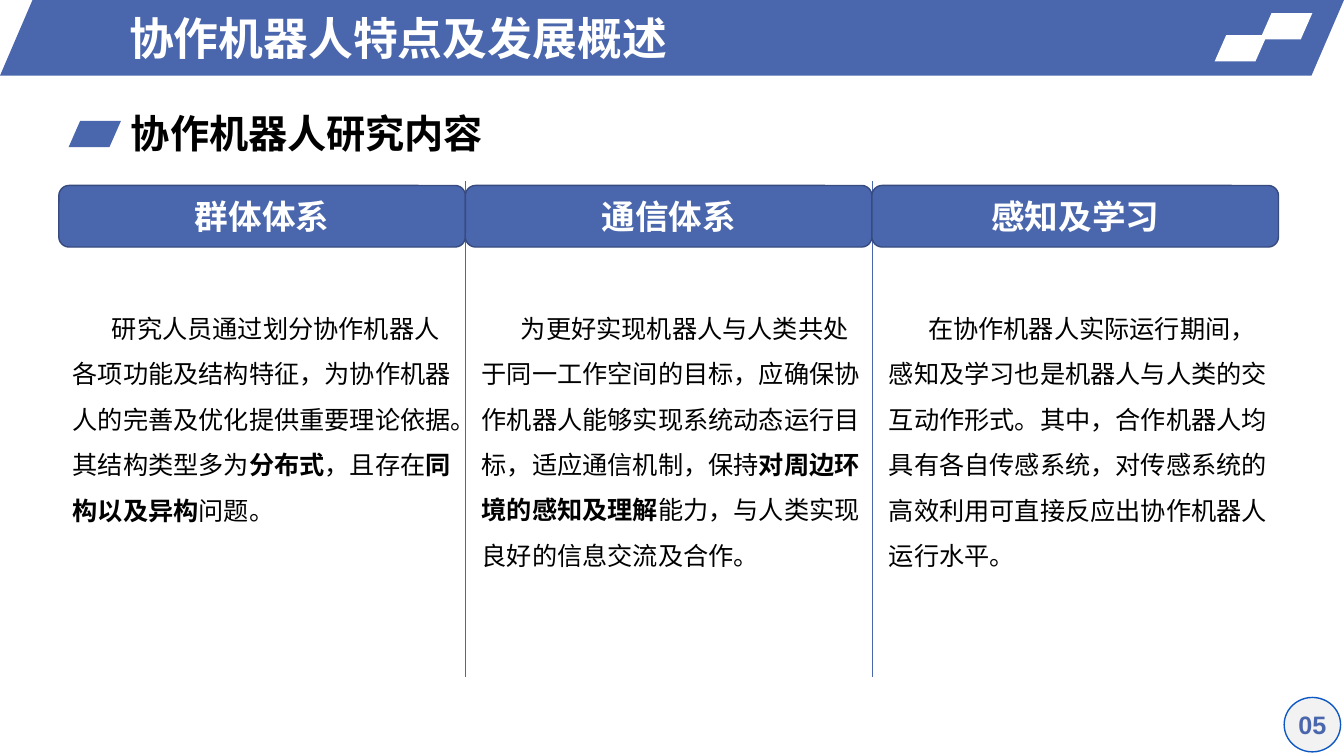
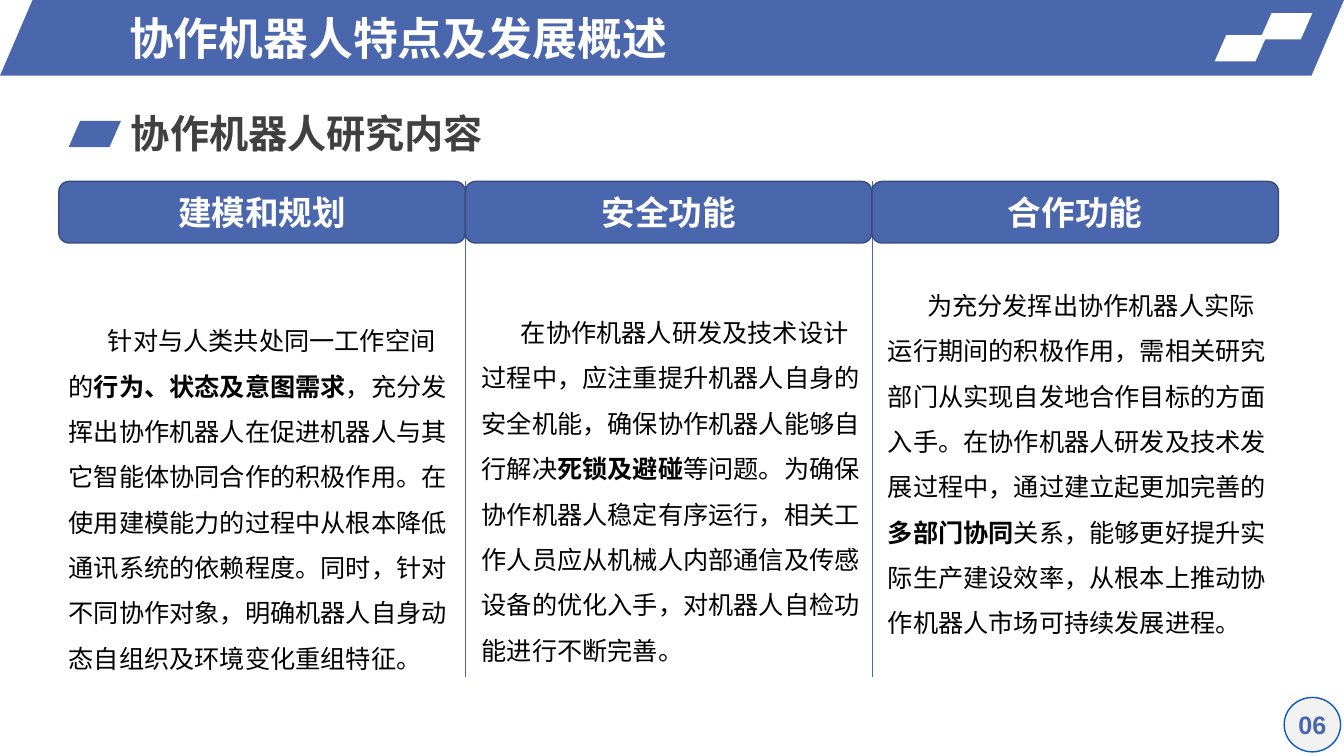
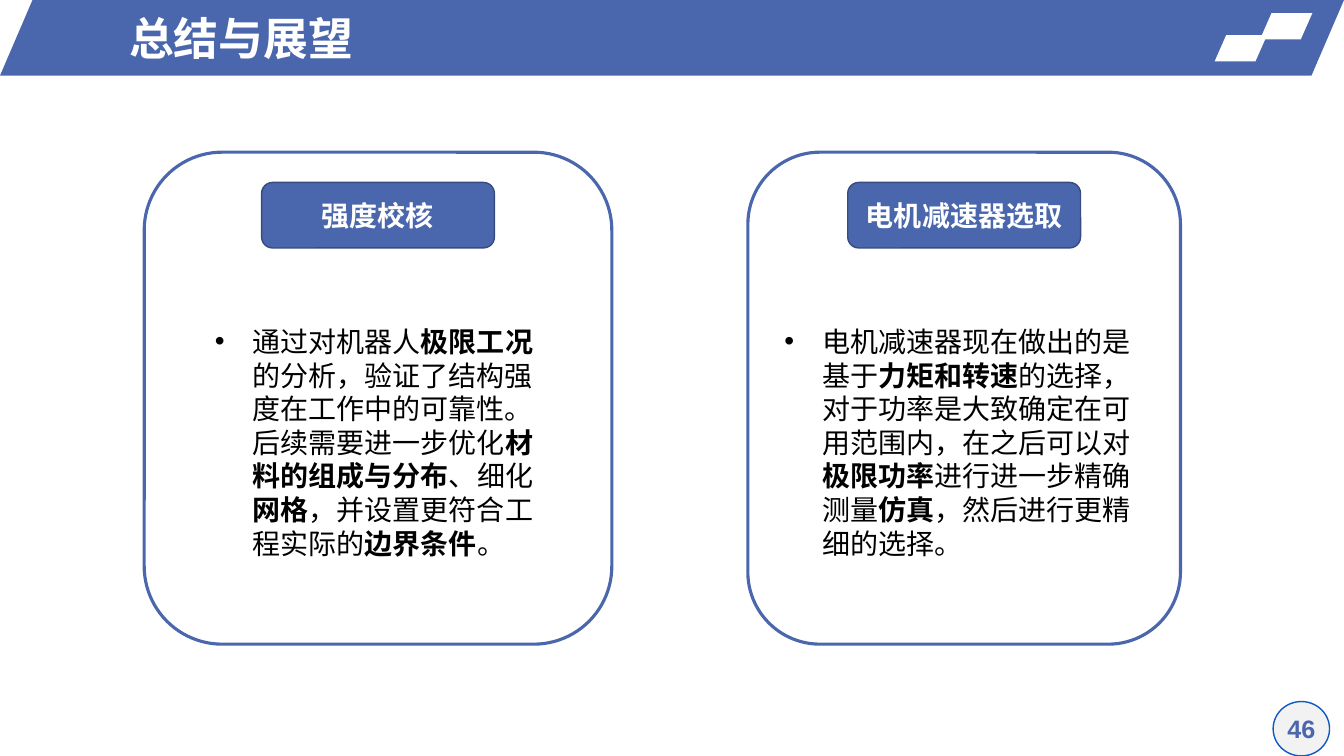
"""Build three slides on collaborative robots: research topics and outlook."""
import pptx
import pptx.dml.color
import pptx.enum.shapes
import pptx.enum.text
import pptx.oxml
import pptx.oxml.ns
import pptx.util

Pt = pptx.util.Pt
SHAPES = pptx.enum.shapes.MSO_SHAPE
ALIGN = pptx.enum.text.PP_ALIGN
ANCHOR = pptx.enum.text.MSO_ANCHOR

COLORS = {
    "blue": "4A66AC", "edge": "374B7F", "white": "FFFFFF", "black": "000000",
    "gray": "404040", "badge": "F2F2F2", "ring": "0E58C4",
}
LATIN, CHINESE = "Arial", "Noto Sans CJK SC"
TITLE_BOX = (85, 3.6, 557, 46.8)
HEADING_BOX = (86.4, 74.2, 328, 41)
MARK_SIZE = (37.4, 18.7)
BADGE_SIZE = (40.3, 38.9)
COLUMN_LEFT, COLUMN_WIDTH = 42, 290.4
DIVIDER_TOP, DIVIDER_BOTTOM = 129.6, 483.8
PANEL_TOP, PANEL_HEIGHT = 108.7, 351.4
LABEL_TOP, LABEL_WIDTH, LABEL_HEIGHT = 130.3, 166.3, 46.8
LIST_TOP, LIST_HEIGHT = 228.2, 177.1

# Text between asterisks is bold.
TOPIC_SLIDES = [
    {
        "title": "协作机器人特点及发展概述", "heading": "协作机器人研究内容",
        "heading_color": "black", "header_top": 132.5, "number": "05",
        "columns": [
            {"name": "群体体系", "shift": 2.8, "top": 209.5, "height": 171,
             "text": "研究人员通过划分协作机器人各项功能及结构特征，为协作机器人的完善及优化提供重要理论依据。"
                     "其结构类型多为*分布式*，且存在*同构以及异构*问题。"},
            {"name": "通信体系", "shift": 4.6, "top": 209.5, "height": 225,
             "text": "为更好实现机器人与人类共处于同一工作空间的目标，应确保协作机器人能够实现系统动态运行目标，"
                     "适应通信机制，保持*对周边环境的感知及理解*能力，与人类实现良好的信息交流及合作。"},
            {"name": "感知及学习", "shift": 5, "top": 209.5, "height": 204,
             "text": "在协作机器人实际运行期间，感知及学习也是机器人与人类的交互动作形式。其中，"
                     "合作机器人均具有各自传感系统，对传感系统的高效利用可直接反应出协作机器人运行水平。"},
        ],
    },
    {
        "title": "协作机器人特点及发展概述", "heading": "协作机器人研究内容",
        "heading_color": "gray", "header_top": 129.6, "number": "06",
        "columns": [
            {"name": "建模和规划", "shift": 0, "top": 218.2, "height": 269,
             "text": "针对与人类共处同一工作空间的*行为、状态及意图需求*，充分发挥出协作机器人在促进机器人与"
                     "其它智能体协同合作的积极作用。在使用建模能力的过程中从根本降低通讯系统的依赖程度。"
                     "同时，针对不同协作对象，明确机器人自身动态自组织及环境变化重组特征。"},
            {"name": "安全功能", "shift": 4.6, "top": 212.4, "height": 291,
             "text": "在协作机器人研发及技术设计过程中，应注重提升机器人自身的安全机能，确保协作机器人能够自行解决"
                     "*死锁及避碰*等问题。为确保协作机器人稳定有序运行，相关工作人员应从机械人内部通信及传感设备的"
                     "优化入手，对机器人自检功能进行不断完善。"},
            {"name": "合作功能", "shift": 4.4, "top": 193, "height": 291,
             "text": "为充分发挥出协作机器人实际运行期间的积极作用，需相关研究部门从实现自发地合作目标的方面入手。"
                     "在协作机器人研发及技术发展过程中，通过建立起更加完善的*多部门协同*关系，能够更好提升实际"
                     "生产建设效率，从根本上推动协作机器人市场可持续发展进程。"},
        ],
    },
]
OUTLOOK = {
    "title": "总结与展望", "number": "46",
    "panels": [
        {"name": "强度校核", "left": 103, "width": 334, "list_left": 146.2, "list_width": 259.2,
         "text": "通过对机器人*极限工况*的分析，验证了结构强度在工作中的可靠性。后续需要进一步优化"
                 "*材料的组成与分布*、细化*网格*，并设置更符合工程实际的*边界条件*。"},
        {"name": "电机减速器选取", "left": 534.2, "width": 309, "list_left": 553, "list_width": 271.4,
         "text": "电机减速器现在做出的是基于*力矩和转速*的选择，对于功率是大致确定在可用范围内，"
                 "在之后可以对*极限功率*进行进一步精确测量*仿真*，然后进行更精细的选择。"},
    ],
}


def rgb(name):
    return pptx.dml.color.RGBColor.from_string(COLORS[name])


def points(values):
    return [Pt(value) for value in values]


def place(shape, box):
    shape.left, shape.top, shape.width, shape.height = points(box)


def write(shape, text, size, color, bold=False, align=ALIGN.LEFT,
          anchor=ANCHOR.TOP, latin=LATIN):
    frame = shape.text_frame
    frame.word_wrap = True
    frame.auto_size = pptx.enum.text.MSO_AUTO_SIZE.NONE
    frame.vertical_anchor = anchor
    paragraph = frame.paragraphs[0]
    paragraph.alignment = align
    paragraph.space_before = Pt(0)
    for index, part in enumerate(text.split("*")):
        run = paragraph.add_run()
        run.text = part
        run.font.name = latin
        run.font.size = Pt(size)
        run.font.bold = bold or index % 2 == 1
        run.font.color.rgb = rgb(color)
        east_asian = pptx.oxml.parse_xml(
            f'<a:ea {pptx.oxml.ns.nsdecls("a")} typeface="{CHINESE}"/>')
        run._r.get_or_add_rPr().append(east_asian)
    return paragraph


def add_shape(slide, kind, box, fill, line=None, width=1, slant=None):
    shape = slide.shapes.add_shape(kind, *points(box))
    shape.shadow.inherit = False
    shape.fill.solid()
    shape.fill.fore_color.rgb = rgb(fill)
    if line:
        shape.line.color.rgb = rgb(line)
        shape.line.width = Pt(width)
    else:
        shape.line.fill.background()
    if slant:
        shape.adjustments[0] = slant
    return shape


def add_mark(slide, left, top, fill):
    return add_shape(slide, SHAPES.PARALLELOGRAM, (left, top, *MARK_SIZE), fill, slant=0.44)


def add_label(slide, box, text, size):
    label = add_shape(slide, SHAPES.ROUNDED_RECTANGLE, box, "blue", "edge")
    write(label, text, size, "white", True, ALIGN.CENTER, ANCHOR.MIDDLE)


def add_divider(slide, x):
    divider = slide.shapes.add_connector(
        pptx.enum.shapes.MSO_CONNECTOR.STRAIGHT,
        *points((x, DIVIDER_TOP, x, DIVIDER_BOTTOM)))
    divider.line.color.rgb = rgb("blue")
    divider.line.width = Pt(0.5)
    divider._element.spPr.append(
        pptx.oxml.parse_xml(f'<a:effectLst {pptx.oxml.ns.nsdecls("a")}/>'))


def add_badge(slide, left, top, number):
    badge = add_shape(slide, SHAPES.OVAL, (left, top, *BADGE_SIZE), "badge", "ring")
    write(badge, number, 18, "blue", True, ALIGN.CENTER, ANCHOR.MIDDLE)
    frame = badge.text_frame
    frame.margin_left = frame.margin_right = frame.margin_top = frame.margin_bottom = 0
    frame.word_wrap = False


def set_title(slide, text):
    place(slide.shapes.title, TITLE_BOX)
    write(slide.shapes.title, text, 32, "white", True, anchor=ANCHOR.MIDDLE)


def add_master_band(presentation, slide):
    band = add_shape(slide, SHAPES.PARALLELOGRAM, (0, 0, 960, 54), "blue", slant=0.43)
    marks = [add_mark(slide, 900, 9.4, "white"), add_mark(slide, 867.6, 25.2, "white")]
    tree = presentation.slide_master.shapes._spTree
    for position, shape in enumerate([band, *marks], start=2):
        tree.insert(position, shape._element)


def fill_topic_slide(slide, content):
    set_title(slide, content["title"])
    add_mark(slide, 49, 86.4, "blue")
    heading = slide.shapes.add_textbox(*points(HEADING_BOX))
    write(heading, content["heading"], 28, content["heading_color"], True)
    lefts = [COLUMN_LEFT + index * COLUMN_WIDTH for index in range(len(content["columns"]))]
    for x in lefts[1:]:
        add_divider(slide, x)
    for left, column in zip(lefts, content["columns"]):
        add_label(slide, (left, content["header_top"], COLUMN_WIDTH, 44), column["name"], 24)
        box = (left + column["shift"], column["top"], COLUMN_WIDTH, column["height"])
        body = slide.shapes.add_textbox(*points(box))
        paragraph = write(body, column["text"], 18, "black", latin=CHINESE)
        paragraph.line_spacing = 1.5
        paragraph._p.get_or_add_pPr().set("indent", str(int(Pt(28))))
    add_badge(slide, 917.3, 498.2, content["number"])


def add_bullet(paragraph, indent):
    properties = paragraph._p.get_or_add_pPr()
    properties.set("marL", str(int(Pt(indent))))
    properties.set("indent", str(-int(Pt(indent))))
    for tag in ('buFont {} typeface="Arial"', 'buChar {} char="•"'):
        properties.append(pptx.oxml.parse_xml(
            f'<a:{tag.format(pptx.oxml.ns.nsdecls("a"))}/>'))


def fill_outlook_slide(slide, content):
    set_title(slide, content["title"])
    for index, panel in enumerate(content["panels"], start=1):
        frame = add_shape(slide, SHAPES.ROUNDED_RECTANGLE,
                          (panel["left"], PANEL_TOP, panel["width"], PANEL_HEIGHT),
                          "white", "blue", 2.25)
        slide.shapes._spTree.insert(2, frame._element)
        label_left = panel["left"] + (panel["width"] - LABEL_WIDTH) / 2
        add_label(slide, (label_left, LABEL_TOP, LABEL_WIDTH, LABEL_HEIGHT), panel["name"], 20)
        body = slide.placeholders[index]
        place(body, (panel["list_left"], LIST_TOP, panel["list_width"], LIST_HEIGHT))
        add_bullet(body.text_frame.paragraphs[0], 27)
        write(body, panel["text"], 20, "black", latin=CHINESE)
    add_badge(slide, 909.4, 501.1, content["number"])


def main():
    presentation = pptx.Presentation()
    presentation.slide_width, presentation.slide_height = Pt(960), Pt(540)
    title_only, two_content = presentation.slide_layouts[5], presentation.slide_layouts[3]
    topics = [presentation.slides.add_slide(title_only) for _ in TOPIC_SLIDES]
    add_master_band(presentation, topics[0])
    for slide, content in zip(topics, TOPIC_SLIDES):
        fill_topic_slide(slide, content)
    fill_outlook_slide(presentation.slides.add_slide(two_content), OUTLOOK)
    presentation.save("out.pptx")


if __name__ == "__main__":
    main()
